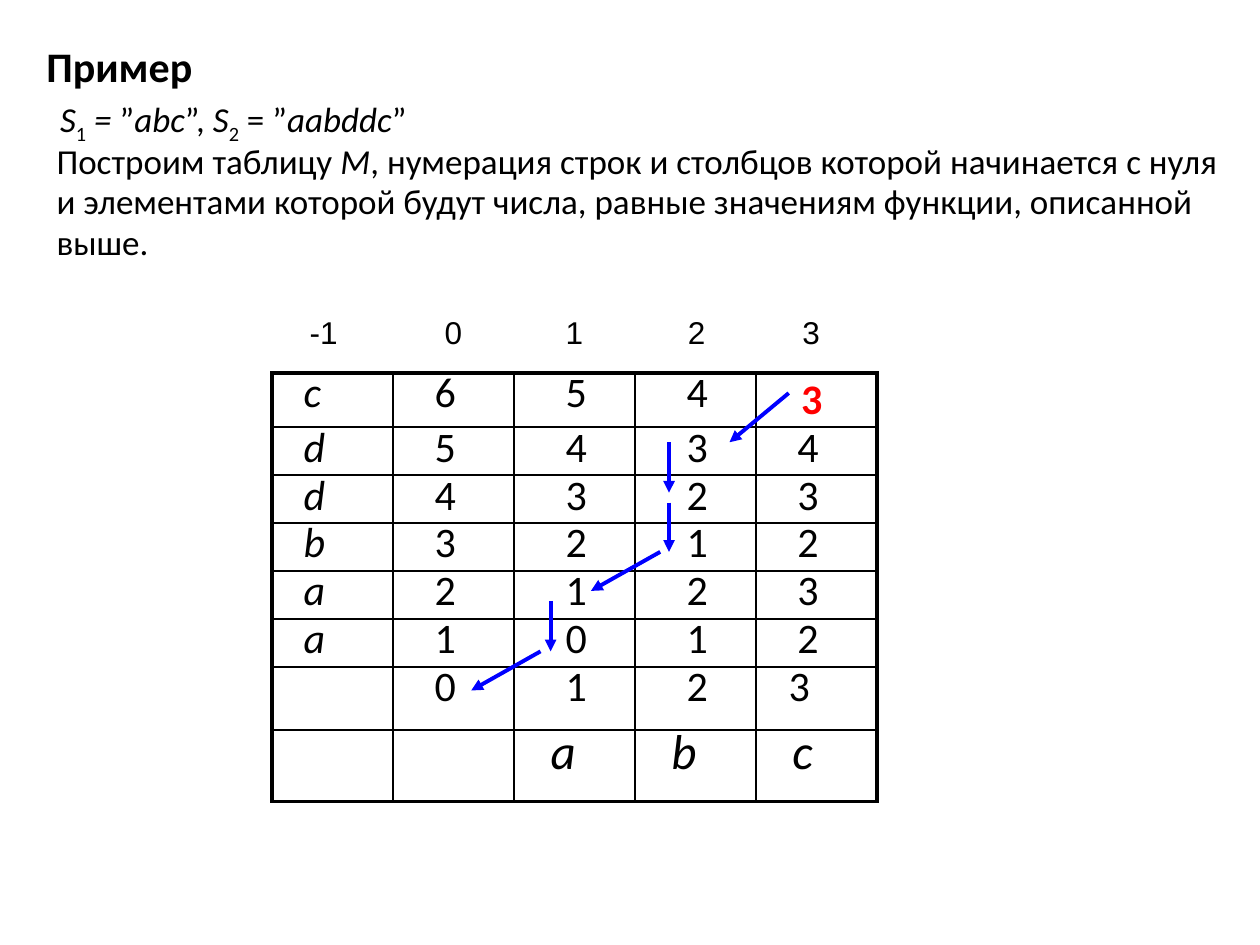
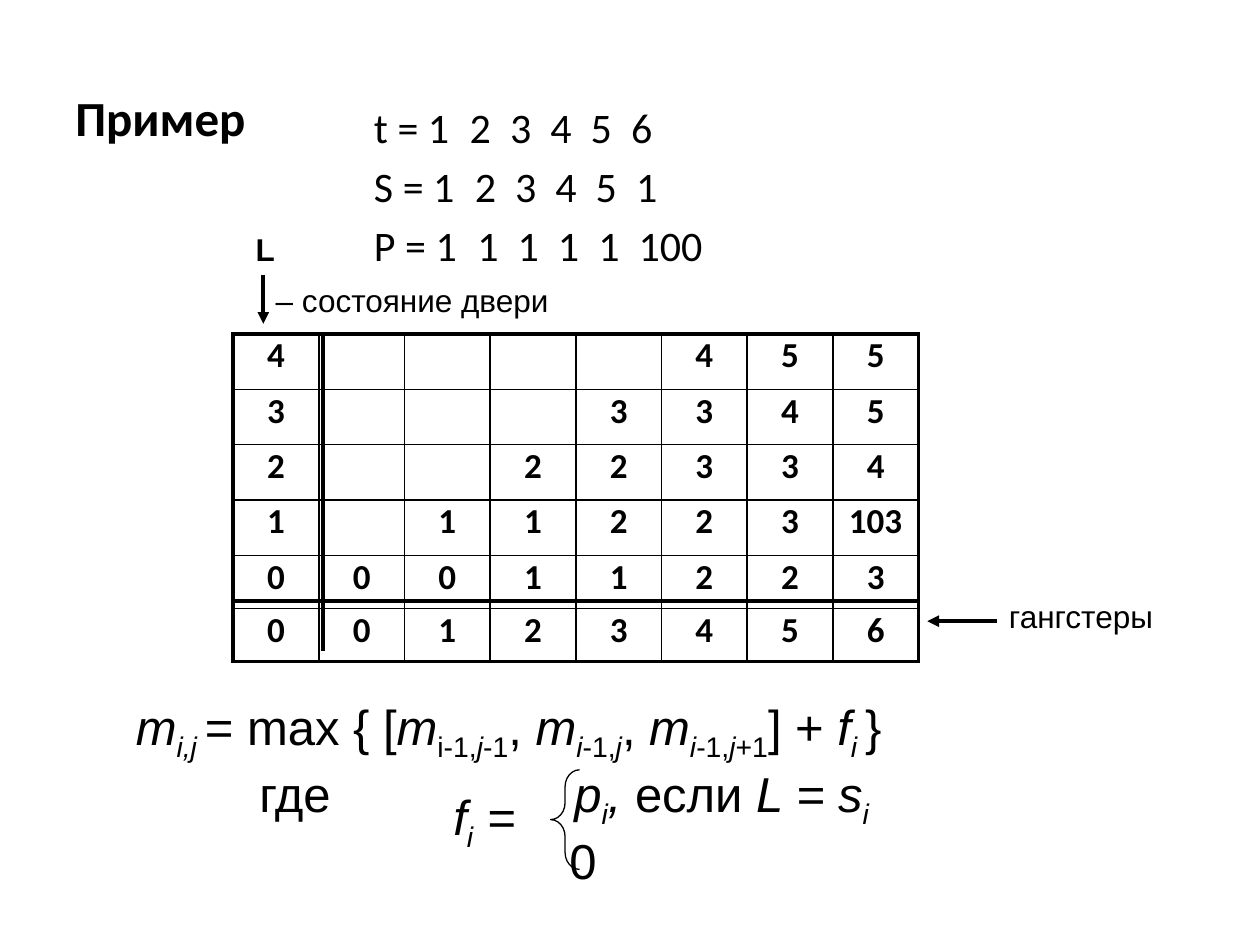
"""Builds two slides of worked dynamic programming examples, each with a table."""
from itertools import accumulate
from lxml import etree
from pptx import Presentation, util as u
from pptx.dml.color import RGBColor
from pptx.enum import shapes, text
from pptx.oxml import ns

BLACK = RGBColor(0, 0, 0)
BLUE = RGBColor(0, 0, 255)
RED = RGBColor(255, 0, 0)
HEAVY, THIN, HAIR = 2.25, 1, 0.75
INSET = 0.1
TITLE = "Пример"

STRINGS = [
    [(" ", "small"), ("S", "i"), ("1", "sub"), (" = ", "i"), ("”", ""), ("abc", "i"),
     ("”, ", ""), ("S", "i"), ("2", "sub"), (" = ”", ""), ("aabddc", "i"), ("”", "")],
    [("Построим таблицу ", ""), ("M", "i"),
     (", нумерация строк и столбцов которой начинается с нуля ", "")],
    [("и элементами которой будут числа, равные значениям функции, описанной", "")],
    [("выше. ", "")],
]
COLUMN_NUMBERS = ["-1", "0", "1", "2", "3"]
NUMBER_STOPS = [0.31, 1.34, 2.3, 3.27, 4.18]
DISTANCES = [
    ["c", "6", "5", "4", "3"],
    ["d", "5", "4", "3", "4"],
    ["d", "4", "3", "2", "3"],
    ["b", "3", "2", "1", "2"],
    ["a", "2", "1", "2", "3"],
    ["a", "1", "0", "1", "2"],
    ["", "0", "1", "2", "3"],
    ["", "", "a", "b", "c"],
]
DISTANCE_ROWS = [0.43] + [0.38] * 5 + [0.5, 0.57]
DISTANCE_INDENTS = [0.25, 0.33, 0.41, 0.41, 0.33]
BACKTRACE = [
    ((6.26, 3.12), (5.79, 3.51)),
    ((5.31, 3.51), (5.31, 3.91)),
    ((5.31, 3.99), (5.31, 4.38)),
    ((5.24, 4.38), (4.69, 4.69)),
    ((4.37, 4.77), (4.37, 5.17)),
    ((4.29, 5.17), (3.74, 5.48)),
]

SERIES = [
    ("t", [1, 2, 3, 4, 5, 6], 0.76),
    ("S", [1, 2, 3, 4, 5, 1], 0.8),
    ("P", [1, 1, 1, 1, 1, 100], 0.82),
]
SERIES_STEP = 0.32
DOOR_STATES = [
    ["4", "", "", "", "", "4", "5", "5"],
    ["3", "", "", "", "3", "3", "4", "5"],
    ["2", "", "", "2", "2", "3", "3", "4"],
    ["1", "", "1", "1", "2", "2", "3", "103"],
    ["0", "0", "0", "1", "1", "2", "2", "3"],
    ["0", "0", "1", "2", "3", "4", "5", "6"],
]
DOOR_ROWS = [0.44] * 4 + [0.42] * 2
LABELS = [
    ("гангстеры", "", (7.91, 4.69, 1.36, 0.4)),
    ("L", "b", (1.93, 1.78, 0.35, 0.4)),
    ("– состояние двери", "", (2.09, 2.18, 2.37, 0.4)),
]
POINTERS = [((7.91, 4.93), (7.36, 4.93)), ((2.09, 2.18), (2.09, 2.57))]
RULES = [((2.56, 2.65), (2.56, 5.17)), ((1.85, 4.77), (7.28, 4.77))]
FORMULA = [
    [("m", "i"), ("i,j ", "i sub"), ("= max { [", ""), ("m", "i"), ("i-1,", "sub"),
     ("j", "i sub"), ("-1", "sub"), (", ", ""), ("m", "i"), ("i", "i sub"), ("-1,", "sub"),
     ("j", "i sub"), (", ", ""), ("m", "i"), ("i", "i sub"), ("-1,", "sub"),
     ("j", "i sub"), ("+1", "sub"), ("] + ", ""), ("f", "i"), ("i ", "i sub"), ("}", "")],
    [("\tгде\t", ""), ("p", "i"), ("i", "i sub"), (", ", "i"), ("если ", ""),
     ("L = s", "i"), ("i", "i sub")],
    [("\t0", "")],
]
FORMULA_STOPS = [[], [0.98, 3.48], [3.44]]
FACTOR = [[("f", "i"), ("i", "i sub"), (" =", "i")]]


def write(para, spans, size, font="Calibri", color=BLACK):
    for words, style in spans:
        marks = style.split()
        span = para.add_run()
        span.text = words
        span.font.name = font
        span.font.size = u.Pt(9 if "small" in marks else size)
        span.font.color.rgb = color
        span.font.bold = "b" in marks
        span.font.italic = "i" in marks
        if "sub" in marks:
            span._r.get_or_add_rPr().set("baseline", "-25000")


def set_tabs(para, stops, align):
    tab_list = etree.SubElement(para._p.get_or_add_pPr(), ns.qn("a:tabLst"))
    for stop in stops:
        etree.SubElement(tab_list, ns.qn("a:tab"), pos=str(u.Inches(stop)), algn=align)


def add_text(page, place, lines, size, font="Calibri", spacing=None, gap=0,
             stops=None, align="l", wrap=True, middle=False):
    box = page.shapes.add_textbox(*map(u.Inches, place))
    frame = box.text_frame
    frame.word_wrap = wrap
    if middle:
        frame.vertical_anchor = text.MSO_ANCHOR.MIDDLE
    for number, spans in enumerate(lines):
        para = frame.add_paragraph() if number else frame.paragraphs[0]
        if spacing:
            para.line_spacing = spacing
        if number and gap:
            para.space_before = u.Pt(gap * size)
        if stops and stops[number]:
            set_tabs(para, stops[number], align)
        write(para, spans, size, font)


def add_title(page, place, size):
    add_text(page, place, [[(TITLE, "b")]], size, middle=True)


def add_line(page, start, end, color=BLACK, arrow=True):
    line = page.shapes.add_connector(
        shapes.MSO_CONNECTOR.STRAIGHT, *map(u.Inches, start + end))
    line.line.color.rgb = color
    line.line.width = u.Pt(HEAVY)
    if arrow:
        etree.SubElement(line.line._get_or_add_ln(), ns.qn("a:tailEnd"), type="triangle")
    etree.SubElement(line._element.spPr, ns.qn("a:effectLst"))


def set_borders(cell, widths):
    props = cell._tc.get_or_add_tcPr()
    for place, (side, width) in enumerate(zip("LRTB", widths)):
        edge = etree.Element(ns.qn("a:ln" + side), w=str(u.Pt(width)))
        fill = etree.SubElement(edge, ns.qn("a:solidFill"))
        etree.SubElement(fill, ns.qn("a:srgbClr"), val=str(BLACK))
        props.insert(place, edge)


def add_grid(page, left, top, column, heights, values, fill_cell):
    count = len(values[0])
    table = page.shapes.add_table(
        len(values), count, u.Inches(left), u.Inches(top),
        u.Inches(column * count), u.Inches(sum(heights))).table
    table.first_row = table.horz_banding = False
    for slot in table.columns:
        slot.width = u.Inches(column)
    for r, (height, row) in enumerate(zip(heights, values)):
        table.rows[r].height = u.Inches(height)
        for c, value in enumerate(row):
            cell = table.cell(r, c)
            cell.fill.background()
            outer = (c == 0, c == count - 1, r == 0, r == len(values) - 1)
            set_borders(cell, [HEAVY if edge else THIN for edge in outer])
            if value:
                fill_cell(cell, r, c, value)


def fill_distance(cell, r, c, value):
    last = len(DISTANCES) - 1
    answer = r == 0 and c == 4
    para = cell.text_frame.paragraphs[0]
    para.line_spacing = 0.7
    indent = DISTANCE_INDENTS[c]
    if answer:
        indent, cell.margin_top = 0.36, u.Inches(0.1)
    elif r == last:
        indent = 0.29
    elif r == last - 1 and c == 4:
        indent = 0.26
    cell.margin_left = u.Inches(indent)
    style = "b" if answer else "i" if value.isalpha() else ""
    write(para, [(value, style)], 28 if r == last else 24, color=RED if answer else BLACK)


def fill_state(cell, r, c, value):
    para = cell.text_frame.paragraphs[0]
    para.alignment = text.PP_ALIGN.CENTER
    para.line_spacing = 0.8
    write(para, [(value, "b")], 20)


def build_distance_page(page):
    add_title(page, (0.27, 0, 9, 1.04), 24)
    add_text(page, (0.35, 0.76, 9.45, 1.58), STRINGS, 20, spacing=0.8, gap=0.2)
    numbers = "".join("\t" + number for number in COLUMN_NUMBERS)
    add_text(page, (2.16, 2.49, 5.2, 0.34), [[(numbers, "")]], 18, "Arial",
             spacing=0.8, stops=[NUMBER_STOPS], align="ctr")
    add_grid(page, 2.16, 2.96, 0.96, DISTANCE_ROWS, DISTANCES, fill_distance)
    for start, end in BACKTRACE:
        add_line(page, start, end, BLUE)


def build_door_page(page):
    add_title(page, (0.5, 0.3, 9, 1.25), 28)
    lines = [[(f"{name} = " + "\t".join(map(str, values)), "")]
             for name, values, _ in SERIES]
    stops = [list(accumulate([first] + [SERIES_STEP] * (len(values) - 2)))
             for _, values, first in SERIES]
    add_text(page, (2.87, 0.76, 5.2, 1.65), lines, 24, gap=0.2, stops=stops)
    add_grid(page, 1.85, 2.65, 0.68, DOOR_ROWS, DOOR_STATES, fill_state)
    for words, style, place in LABELS:
        add_text(page, place, [[(words, style)]], 18, "Arial", wrap=False)
    for start, end in POINTERS:
        add_line(page, start, end)
    for start, end in RULES:
        add_line(page, start, end, arrow=False)
    add_text(page, (0.98, 5.48, 6.93, 1.97), FORMULA, 28, "Arial", stops=FORMULA_STOPS)
    brace = page.shapes.add_shape(
        shapes.MSO_SHAPE.LEFT_BRACE, *map(u.Inches, (4.37, 6.11, 0.23, 0.79)))
    brace.adjustments[0], brace.adjustments[1] = 0.585, 0.5
    brace.shadow.inherit = False
    brace.fill.background()
    brace.line.color.rgb = BLACK
    brace.line.width = u.Pt(HAIR)
    add_text(page, (3.5, 6.19, 0.71, 0.57), FACTOR, 28, "Arial")


deck = Presentation()
deck.slide_width, deck.slide_height = u.Inches(10), u.Inches(7.5)
for build in (build_distance_page, build_door_page):
    build(deck.slides.add_slide(deck.slide_layouts[6]))
deck.save("out.pptx")
